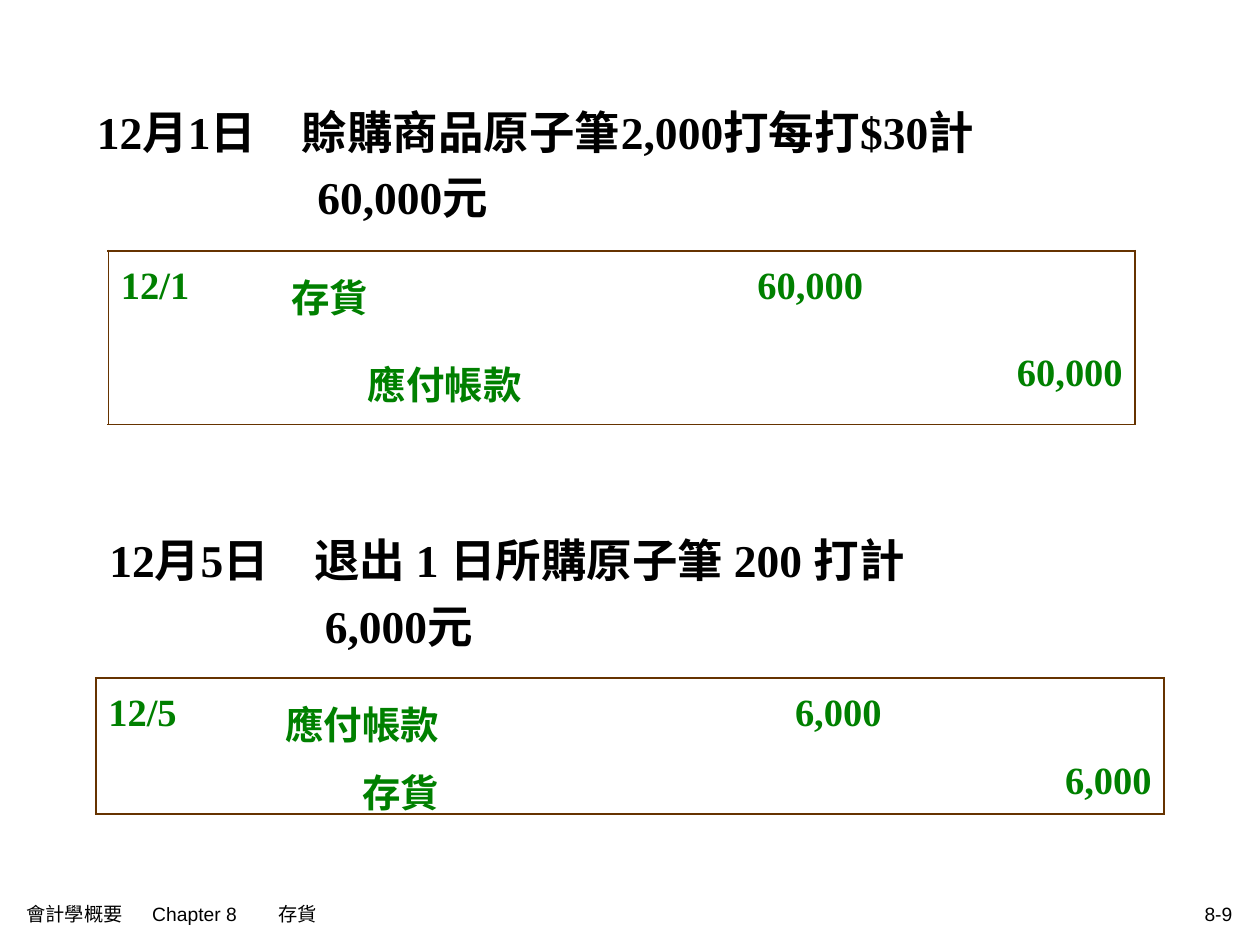
from dataclasses import dataclass

from lxml import etree
from pptx import Presentation
from pptx.dml.color import RGBColor
from pptx.enum.text import MSO_ANCHOR, PP_ALIGN
from pptx.oxml.ns import qn
from pptx.util import Inches, Pt

LEFT, RIGHT = PP_ALIGN.LEFT, PP_ALIGN.RIGHT
TOP, MIDDLE = MSO_ANCHOR.TOP, MSO_ANCHOR.MIDDLE
COLUMNS, ROWS = 100, 75
LEDGER_WEIGHTS = (13.5, 27.6, 19.8, 20.6)


@dataclass(frozen=True)
class Theme:
    ink: str = "000000"
    entry: str = "008000"
    border: str = "663300"
    serif: str = "Times New Roman"
    sans: str = "Arial"
    heading_size: float = 26
    entry_size: float = 22
    footer_size: float = 11
    border_width: float = 1.08
    spacing: float = 1.2


THEME = Theme()


def grid(n):
    return Inches(n / 10)


def write(p, text, *, size, color=THEME.ink, font=THEME.serif, bold=True,
          align=LEFT, spacing=THEME.spacing, indent=0, tabs=()):
    p.alignment = align
    p.line_spacing = spacing
    pPr = p._p.get_or_add_pPr()
    pPr.set("marL", str(grid(indent)))
    pPr.set("indent", "0")
    if tabs:
        tab_list = etree.SubElement(pPr, qn("a:tabLst"))
        for stop in tabs:
            etree.SubElement(tab_list, qn("a:tab"), pos=str(grid(stop)), algn="l")
    r = p.add_run()
    r.text = text
    r.font.size = Pt(size)
    r.font.name = font
    r.font.bold = bold
    r.font.color.rgb = RGBColor.from_string(color)


def add_box(s, box, anchor=TOP):
    tf = s.shapes.add_textbox(*map(grid, box)).text_frame
    tf.word_wrap = True
    tf.vertical_anchor = anchor
    return tf


def set_borders(cell, shown):
    cell.fill.background()
    tcPr = cell._tc.get_or_add_tcPr()
    for i, side in enumerate("LRTB"):
        ln = etree.Element(qn(f"a:ln{side}"), w=str(Pt(THEME.border_width)))
        if side in shown:
            fill = etree.SubElement(ln, qn("a:solidFill"))
            etree.SubElement(fill, qn("a:srgbClr"), val=THEME.border)
        else:
            etree.SubElement(ln, qn("a:noFill"))
        tcPr.insert(i, ln)


def add_heading(s, box, lines):
    tf = add_box(s, box)
    for i, (text, indent) in enumerate(lines):
        p = tf.add_paragraph() if i else tf.paragraphs[0]
        write(p, text, size=THEME.heading_size, indent=indent)


def add_ledger(s, box, date, debit, credit, amount):
    table = s.shapes.add_table(2, len(LEDGER_WEIGHTS), *map(grid, box)).table
    table.first_row = table.horz_banding = False
    for column, weight in zip(table.columns, LEDGER_WEIGHTS):
        column.width = grid(box[2] * weight / sum(LEDGER_WEIGHTS))

    last = len(LEDGER_WEIGHTS) - 1
    for row in range(2):
        for col in range(last + 1):
            shown = "B" if row else "T"
            shown += {0: "L", last: "R"}.get(col, "")
            set_borders(table.cell(row, col), shown)

    entries = (
        (0, 0, date, LEFT, 0),
        (0, 1, debit, LEFT, 0),
        (0, 2, amount, RIGHT, 0),
        (1, 1, credit, LEFT, 6.1),
        (1, 3, amount, RIGHT, 0),
    )
    for row, col, text, align, indent in entries:
        write(table.cell(row, col).text_frame.paragraphs[0], text,
              size=THEME.entry_size, color=THEME.entry, align=align, indent=indent)


def add_footer(s, box, text, align=LEFT, tabs=()):
    tf = add_box(s, box, MIDDLE)
    write(tf.paragraphs[0], text, size=THEME.footer_size, font=THEME.sans,
          bold=False, align=align, spacing=1.0, tabs=tabs)


def main():
    prs = Presentation()
    prs.slide_width, prs.slide_height = grid(COLUMNS), grid(ROWS)
    s = prs.slides.add_slide(prs.slide_layouts[6])

    add_heading(s, (4.9, 6.9, 90, 12), (
        ("12月1日　賒購商品原子筆2,000打每打$30計", 1.8),
        ("60,000元", 19.3),
    ))
    add_ledger(s, (8.6, 19.9, 81.5, 13.8), "12/1", "存貨", "應付帳款", "60,000")

    add_heading(s, (5, 40.9, 90, 12), (
        ("12月5日　退出 1 日所購原子筆 200 打計", 2.7),
        ("6,000元", 19.8),
    ))
    add_ledger(s, (7.6, 53.8, 84.8, 10.8), "12/5", "應付帳款", "存貨", "6,000")

    add_footer(s, (1.1, 70.9, 51, 3.3), "會計學概要\tChapter 8\t存貨", tabs=(9.1, 17))
    add_footer(s, (67.8, 70.9, 31, 3.3), "8-9", align=RIGHT)

    prs.save("out.pptx")


if __name__ == "__main__":
    main()
